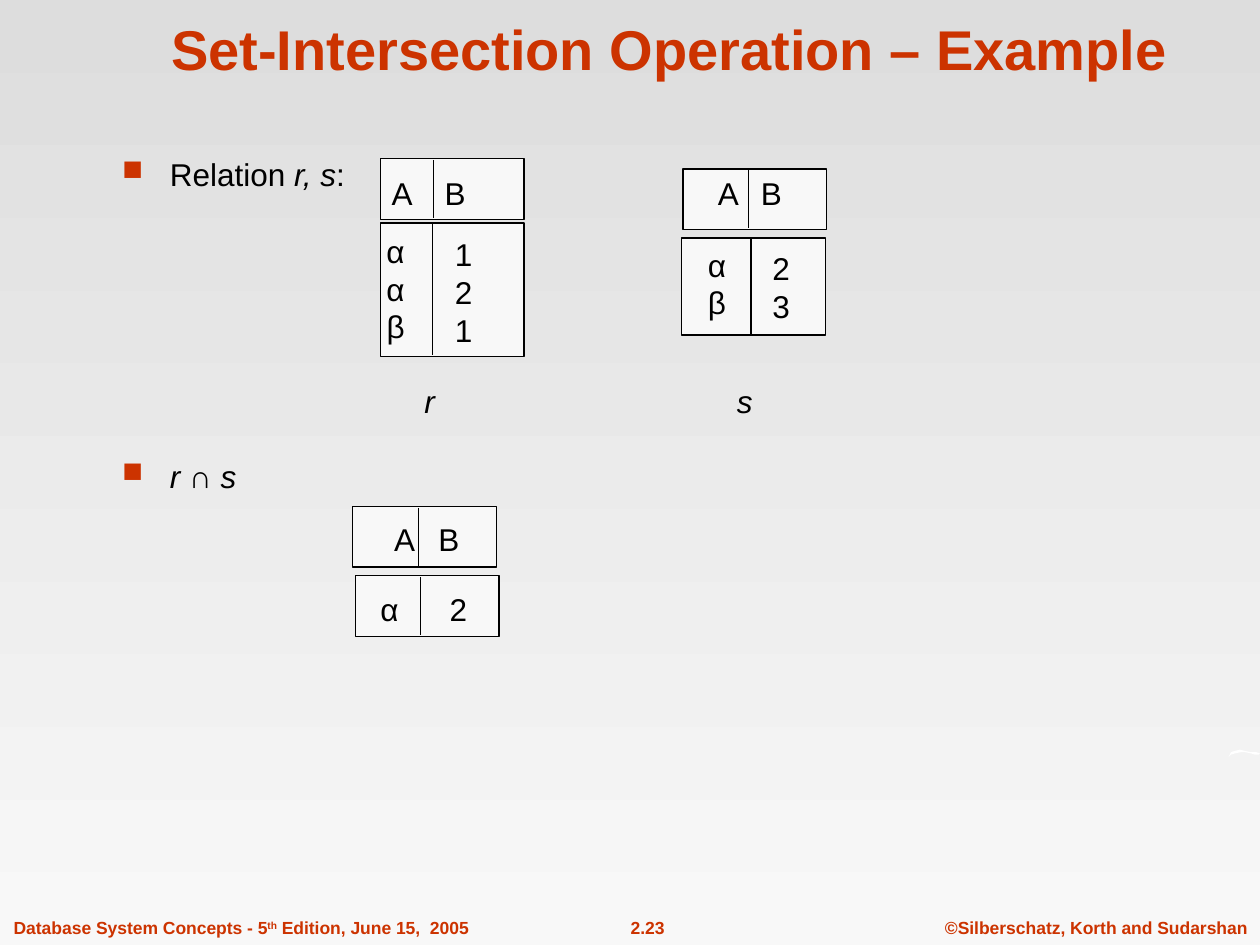
from lxml.etree import SubElement
from pptx import Presentation
from pptx.dml.color import RGBColor
from pptx.enum.shapes import MSO_CONNECTOR, MSO_SHAPE
from pptx.enum.text import MSO_ANCHOR, PP_ALIGN
from pptx.oxml.ns import qn
from pptx.util import Inches, Pt

RED, BLACK, WHITE, PALE, GRAY = "CC3300", "000000", "FFFFFF", "F8F8F8", "DDDDDD"
LEFT, CENTER = PP_ALIGN.LEFT, PP_ALIGN.CENTER

TITLE = "Set-Intersection Operation – Example"
# Footer: left, width, alignment, runs as (text, style)
FOOTER = [
    (0.01, 3.81, LEFT, [("Database System Concepts - 5", ""), ("th", "super"),
                        (" Edition, June 15,  2005", "")]),
    (4.65, 0.98, CENTER, [("2.23", "")]),
    (7.4, 2.6, CENTER, [("©Silberschatz, Korth and Sudarshan", "")]),
]
# Bullets: space before in points, runs
BULLETS = [
    (7.9, [("Relation ", ""), ("r, s", "italic"), (":", "")]),
    (151, [("r ", "italic"), ("∩ ", ""), ("s", "italic")]),
]
BOX_WIDTH = 1.14
# Frames of the relations: left, top, height, divider x
FRAMES = [
    (3.02, 1.26, 0.48, 3.44), (3.02, 1.77, 1.06, 3.43),
    (5.42, 1.34, 0.48, 5.94), (5.41, 1.89, 0.77, 5.96),
    (2.8, 4.02, 0.48, 3.32), (2.82, 4.57, 0.48, 3.34),
]
# Rows of two cells: first cell x, second cell x, top, cells
ROWS = [
    (3.11, 3.53, 1.33, ("A", "B")),
    (5.7, 6.04, 1.33, ("A", "B")),
    (3.13, 3.48, 4.08, ("A", "B")),
    (3.02, 3.57, 4.63, ("α", "2")),
]
# Columns of values and relation names: left, top, width, lines, style
COLUMNS = [
    (2.96, 1.79, 0.36, "ααβ", ""), (3.51, 1.82, 0.34, "121", ""),
    (5.51, 1.9, 0.36, "αβ", ""), (6.03, 1.93, 0.34, "23", ""),
    (3.27, 2.98, 0.28, "r", "italic"), (5.75, 2.98, 0.32, "s", "italic"),
]
LINE_HEIGHT = 0.3
SWOOSH = [(9.75, 6.01), (9.77, 5.97), (9.8, 5.96), (9.84, 5.95), (9.88, 5.96),
          (9.93, 5.97), (9.97, 5.97), (10, 5.98), (9.99, 5.99), (9.96, 5.99),
          (9.93, 5.98), (9.88, 5.97), (9.85, 5.97), (9.8, 5.98), (9.77, 5.99)]


def color(value):
    return RGBColor.from_string(value)


def add_box(page, left, top, width, height, wrap=False):
    box = page.shapes.add_textbox(Inches(left), Inches(top), Inches(width), Inches(height))
    box.text_frame.word_wrap = wrap
    return box.text_frame


def add_runs(para, runs, size=18, ink=BLACK, bold=False):
    for text, style in runs:
        span = para.add_run()
        span.text = text
        font = span.font
        font.name, font.size, font.bold = "Arial", Pt(size), bold
        font.italic = style == "italic"
        font.color.rgb = color(ink)
        if style == "super":
            font._element.set("baseline", "30000")


def next_para(frame, index):
    return frame.add_paragraph() if index else frame.paragraphs[0]


def add_bullet(para):
    """Give the paragraph a hanging red square."""
    props = para._p.get_or_add_pPr()
    props.set("marL", str(Inches(0.38)))
    props.set("indent", str(-Inches(0.38)))
    bullet_color = SubElement(props, qn("a:buClr"))
    SubElement(bullet_color, qn("a:srgbClr"), val=RED)
    SubElement(props, qn("a:buSzPct"), val="90000")
    SubElement(props, qn("a:buChar"), char="■")


def add_tab_stop(para, distance):
    tabs = SubElement(para._p.get_or_add_pPr(), qn("a:tabLst"))
    SubElement(tabs, qn("a:tab"), pos=str(Inches(distance)), algn="l")


def add_frame(page, left, top, height, divider):
    """Draw a bordered box split by a vertical line."""
    box = page.shapes.add_shape(MSO_SHAPE.RECTANGLE, Inches(left), Inches(top),
                                Inches(BOX_WIDTH), Inches(height))
    box.shadow.inherit = False
    box.fill.solid()
    box.fill.fore_color.rgb = color(PALE)
    line = page.shapes.add_connector(MSO_CONNECTOR.STRAIGHT, Inches(divider), Inches(top + 0.01),
                                     Inches(divider), Inches(top + height - 0.01))
    SubElement(line._element.spPr, qn("a:effectLst"))
    for item in (box, line):
        item.line.color.rgb = color(BLACK)
        item.line.width = Pt(0.75)


def set_background(page):
    fill = page.background.fill
    fill.gradient()
    fill.gradient_angle = 270
    for stop, shade, place in zip(fill.gradient_stops, (GRAY, PALE), (0, 1)):
        stop.color.rgb = color(shade)
        stop.position = place


def add_swoosh(page):
    points = [(Inches(x), Inches(y)) for x, y in SWOOSH]
    builder = page.shapes.build_freeform(*points[0])
    builder.add_line_segments(points[1:], close=True)
    swoosh = builder.convert_to_shape()
    swoosh.shadow.inherit = False
    swoosh.fill.solid()
    swoosh.fill.fore_color.rgb = color(WHITE)
    swoosh.line.fill.background()


def main():
    deck = Presentation()
    deck.slide_width, deck.slide_height = Inches(10), Inches(7.5)
    page = deck.slides.add_slide(deck.slide_layouts[6])
    set_background(page)

    for left, width, align, runs in FOOTER:
        para = add_box(page, left, 7.23, width, 0.27).paragraphs[0]
        para.alignment = align
        add_runs(para, runs, 10, RED, True)
    add_swoosh(page)

    title = add_box(page, 0.9, 0.03, 8.83, 0.67, wrap=True)
    title.vertical_anchor = MSO_ANCHOR.BOTTOM
    title.paragraphs[0].alignment = CENTER
    add_runs(title.paragraphs[0], [(TITLE, "")], 32, RED, True)

    body = add_box(page, 0.87, 1.18, 8.58, 5.33, wrap=True)
    for index, (space, runs) in enumerate(BULLETS):
        para = next_para(body, index)
        para.space_before = Pt(space)
        add_bullet(para)
        add_runs(para, runs)

    for frame in FRAMES:
        add_frame(page, *frame)
    for first, second, top, cells in ROWS:
        row = add_box(page, first - 0.1, top, second - first + 0.4, 0.4, wrap=True)
        add_tab_stop(row.paragraphs[0], second - first)
        add_runs(row.paragraphs[0], [("\t".join(cells), "")])
    for left, top, width, values, style in COLUMNS:
        column = add_box(page, left, top, width, 0.1 + LINE_HEIGHT * len(values))
        for index, value in enumerate(values):
            para = next_para(column, index)
            para.alignment = CENTER
            add_runs(para, [(value, style)])

    deck.save("out.pptx")


if __name__ == "__main__":
    main()
